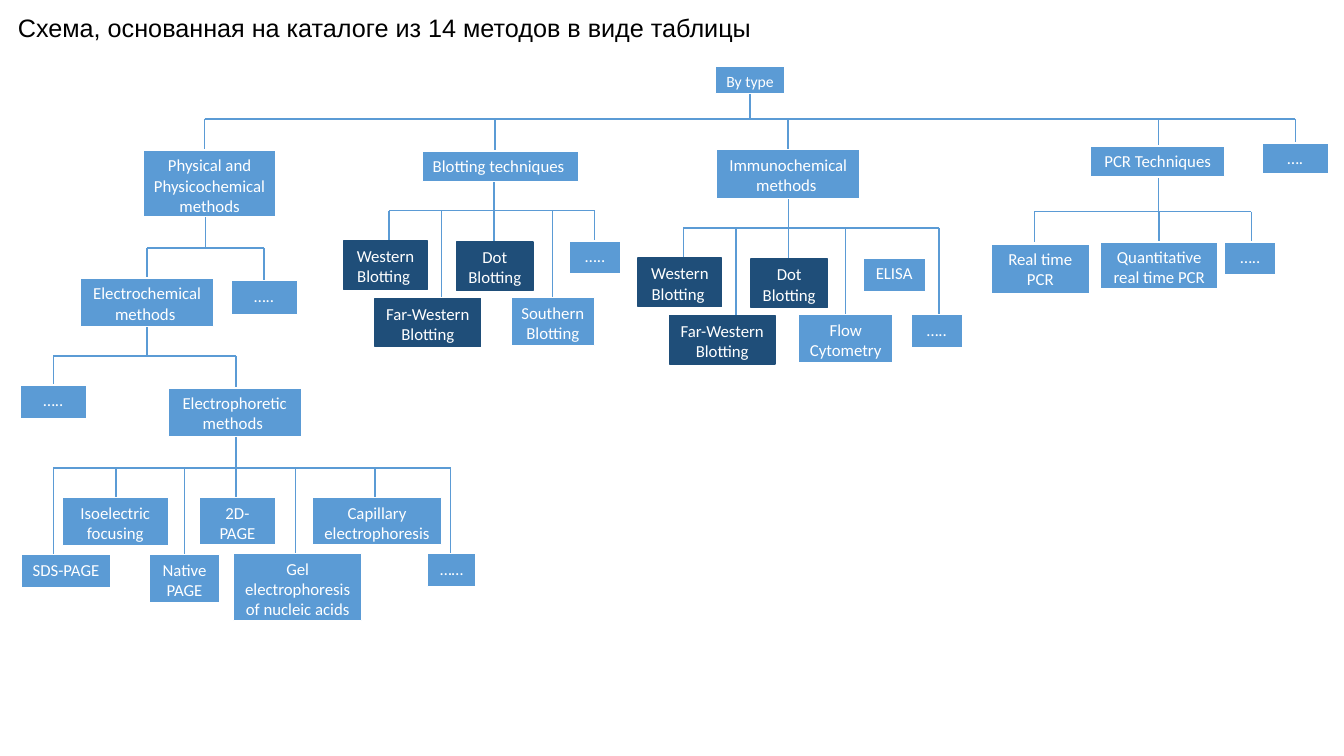
from dataclasses import dataclass

from lxml import etree
from pptx import Presentation
from pptx.dml.color import RGBColor
from pptx.enum import shapes, text
from pptx.oxml import ns
from pptx.util import Pt


@dataclass(frozen=True)
class Theme:
    blue: str = "5B9BD5"
    navy: str = "1F4E79"
    white: str = "FFFFFF"
    black: str = "000000"
    node_font: str = "Calibri"
    title_font: str = "Arial"
    root_size: float = 11.2
    node_size: float = 12
    title_size: float = 18
    line_width: float = 1


@dataclass(frozen=True)
class Box:
    left: float
    top: float
    width: float
    height: float

    def inner(self, left, top, width, height):
        return [Pt(v) for v in (self.left + left, self.top + top, width, height)]


THEME = Theme()
DOTS = "….."


def color(value):
    return RGBColor.from_string(value)


def write_text(shape, content, size=THEME.node_size, font=THEME.node_font,
               ink=THEME.white, align=text.PP_ALIGN.CENTER, wrap=True):
    frame = shape.text_frame
    frame.word_wrap = wrap
    frame.vertical_anchor = text.MSO_ANCHOR.TOP
    frame.margin_left = frame.margin_right = Pt(7)
    frame.margin_top = frame.margin_bottom = Pt(3.6)
    paragraph = frame.paragraphs[0]
    paragraph.alignment = align
    run = paragraph.add_run()
    run.text = content
    run.font.size = Pt(size)
    run.font.name = font
    run.font.color.rgb = color(ink)


def add_node(slide, box, label, place, fill=THEME.blue, edge=THEME.white, **text_format):
    shape = slide.shapes.add_shape(shapes.MSO_SHAPE.RECTANGLE, *box.inner(*place))
    shape.shadow.inherit = False
    shape.fill.solid()
    shape.fill.fore_color.rgb = color(fill)
    shape.line.color.rgb = color(edge)
    shape.line.width = Pt(THEME.line_width)
    write_text(shape, label, **text_format)


def add_nodes(slide, box, nodes, **node_format):
    for label, *place in nodes:
        add_node(slide, box, label, place, **node_format)


def add_line(slide, box, start_x, start_y, end_x, end_y):
    connector = slide.shapes.add_connector(
        shapes.MSO_CONNECTOR.STRAIGHT,
        *box.inner(start_x, start_y, 0, 0)[:2], *box.inner(end_x, end_y, 0, 0)[:2])
    connector.line.color.rgb = color(THEME.blue)
    connector.line.width = Pt(THEME.line_width)
    etree.SubElement(connector._element.spPr, ns.qn("a:effectLst"))


def add_branch(slide, box, trunk_x, trunk_top, bar_y, drops):
    positions = [x for x, bottom in drops]
    add_line(slide, box, trunk_x, trunk_top, trunk_x, bar_y)
    add_line(slide, box, min(positions), bar_y, max(positions), bar_y)
    for x, bottom in drops:
        add_line(slide, box, x, bar_y, x, bottom)


def draw_title(slide, box):
    shape = slide.shapes.add_textbox(*box.inner(0, 0, box.width, box.height))
    write_text(shape, "Схема, основанная на каталоге из 14 методов в виде таблицы",
               size=THEME.title_size, font=THEME.title_font, ink=THEME.black,
               align=text.PP_ALIGN.LEFT, wrap=False)


def draw_root(slide, box):
    drops = [(x, box.height) for x in (0, 207.3, 416.8, 681.1, box.width)]
    add_branch(slide, box, 389.5, 19.4, 37.5, drops)
    add_node(slide, box, "By type", (365, 0, 49, 19.4), size=THEME.root_size)
    add_node(slide, box, "….", (755.2, 54.7, 47.5, 21.6))


def draw_physical(slide, box):
    add_branch(slide, box, 132.9, 47, 70.1, [(91.1, 93), (174.6, 93)])
    add_branch(slide, box, 91.1, 125.6, 147.2, [(24.2, 169.5), (154.5, 169.5)])
    upper, lower = 248.5, 289
    add_branch(slide, box, 154.5, 204.8, 227.4, [
        (24.2, lower), (68.8, upper), (117.8, lower), (154.5, upper),
        (197, lower), (253.8, upper), (308, lower)])
    add_nodes(slide, box, [
        ("Physical and Physicochemical methods", 88.2, 0.3, 95, 47.5),
        ("Electrochemical methods ", 43.6, 91.7, 95, 34.6),
        (DOTS, 150.9, 93.2, 47.5, 24.5),
        (DOTS, 0.4, 168, 47.5, 24.5),
        ("Electrophoretic methods ", 106.2, 170.2, 95, 34.6),
        ("Isoelectric focusing", 30.6, upper, 75.6, 34.3),
        ("2D-PAGE", 128.6, upper, 54, 33.8),
        ("Capillary electrophoresis", 209.2, upper, 92.2, 33.4),
        ("SDS-PAGE", 1.1, lower, 64.1, 23.8),
        ("Native PAGE", 92.6, lower, 50.4, 34.6),
        ("Gel electrophoresis of nucleic acids", 153, 288.3, 91.4, 48.2),
        ("……", 291.3, 288.3, 34.6, 23.8)])


def draw_blot_family(slide, box, heading, heading_size, extra_drops, extra_nodes):
    heading_width, heading_height = heading_size
    bar = heading_height + 20.9
    upper = bar + 21.6
    lower = upper + 40.3
    ends = {"upper": upper, "lower": lower}
    drops = [(32.4, upper), (69.8, lower), (107.3, upper)]
    drops += [(x, ends[row]) for x, row in extra_drops]
    add_branch(slide, box, 107.3, heading_height, bar, drops)
    add_node(slide, box, heading, (56.2, 0, heading_width, heading_height))
    add_nodes(slide, box, [
        ("Western Blotting ", 0, upper, 59.8, 34.6),
        ("Dot Blotting", 80.6, upper + 0.7, 54.7, 34.6),
        ("Far-Western Blotting", 22.3, lower + 0.7, 75.6, 34.6)],
        fill=THEME.navy, edge=THEME.navy)
    add_nodes(slide, box, [
        (label, left, ends[row], width, height)
        for label, left, row, width, height in extra_nodes])


def draw_blotting(slide, box):
    draw_blot_family(
        slide, box, "Blotting techniques ", (111.6, 21.6),
        [(149, "lower"), (179.3, "upper")],
        [("Southern Blotting", 119.5, "lower", 59.8, 34.6),
         (DOTS, 161.3, "upper", 36.7, 23.8)])


def draw_immunochemical(slide, box):
    draw_blot_family(
        slide, box, "Immunochemical methods ", (102.2, 35.3),
        [(148.3, "lower"), (215, "lower")],
        [("Flow Cytometry", 114.5, "lower", 67.7, 34.6),
         ("ELISA", 160.6, "upper", 44.6, 23.8),
         (DOTS, 195.1, "lower", 36.7, 23.8)])


def draw_pcr(slide, box):
    add_branch(slide, box, 119.5, 23, 46.8, [(x, 68.4) for x in (31, 120, 186)])
    add_nodes(slide, box, [
        ("PCR Techniques", 71.3, 0, 95.8, 21.6),
        ("Real time PCR", 0, 69.8, 70.6, 35.3),
        ("Quantitative real time PCR", 78.5, 68.4, 83.5, 33.8),
        (DOTS, 167, 68.4, 36.7, 23.8)])


presentation = Presentation()
presentation.slide_width = Pt(960)
presentation.slide_height = Pt(540)
slide = presentation.slides.add_slide(presentation.slide_layouts[6])
draw_root(slide, Box(146.2, 47.5, 779, 60))
draw_physical(slide, Box(14, 107, 326, 337))
draw_blotting(slide, Box(245.5, 108, 198, 140))
draw_immunochemical(slide, Box(455.8, 106.6, 232, 153))
draw_pcr(slide, Box(707.8, 104.4, 204, 105))
draw_title(slide, Box(5.8, 5, 538.6, 28.8))
presentation.save("out.pptx")
